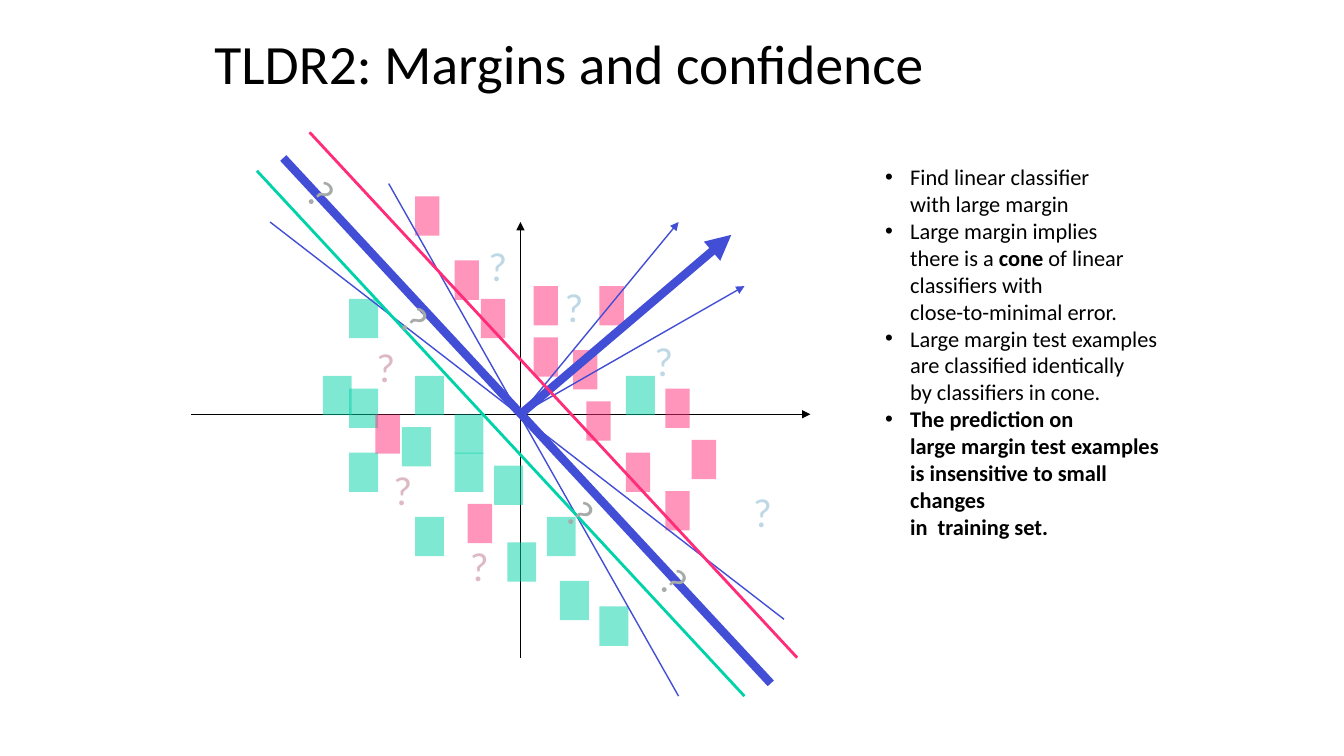
from lxml import etree
from pptx import Presentation
from pptx.dml.color import RGBColor
from pptx.enum.shapes import MSO_CONNECTOR, MSO_SHAPE
from pptx.enum.text import MSO_ANCHOR, MSO_AUTO_SIZE, PP_ALIGN
from pptx.oxml.ns import qn
from pptx.util import Inches, Pt

RECTANGLE, STRAIGHT = MSO_SHAPE.RECTANGLE, MSO_CONNECTOR.STRAIGHT
MIDDLE, LEFT, FIXED = MSO_ANCHOR.MIDDLE, PP_ALIGN.LEFT, MSO_AUTO_SIZE.NONE

BLACK = RGBColor(0x00, 0x00, 0x00)
GREEN = RGBColor(0x00, 0xD2, 0xA9)
PINK = RGBColor(0xFF, 0x2C, 0x79)
BLUE = RGBColor(0x43, 0x4E, 0xD6)
PALE_BLUE = RGBColor(0xBE, 0xD8, 0xE6)
PALE_PINK = RGBColor(0xDD, 0xBA, 0xC3)
GRAY = RGBColor(0xA6, 0xAA, 0xA9)

WIDTH, HEIGHT = Inches(13.33), Inches(7.5)
COLUMN, ROW = WIDTH / 102, HEIGHT / 59
ORIGIN = (39.5, 32.33)  # where the axes cross, in columns and rows
CENTER = (0, 0)
GREEN_SIZE, PINK_SIZE, MARK_SIZE = (2.2, 3.07), (1.85, 3.07), (2.3, 4.7)
TILT = 47

# Points below are columns right of and rows below the origin.
GREEN_EXAMPLES = [(-13, 3), (-13, -2), (-13, -9), (-15, -3), (-5, 3), (-9, 1),
                  (-5, 0), (-2, 4), (-1, 10), (2, 8), (6, 15), (8, -3),
                  (3, 13), (-8, 8), (-8, -3)]
PINK_EXAMPLES = [(-11, 0), (6, -10), (-4, 7), (4, -5), (1, -6), (-3, -9),
                 (11, -2), (1, -10), (-5, -12), (5, -1), (11, 6), (-8, -17),
                 (13, 2), (8, 3)]
AXES = [((-25, 0), (22, 0)), ((0, 19), (0, -15))]
CONE_BOUNDARIES = [((-10, -18), (12, 22)), ((-19, -15), (20, 16))]
CONE_NORMALS = [(17, -10), (12, -15)]
SURE_PINK_TESTS = [(17.2, 5.2), (-2.9, -14), (9.7, -6.6), (2.9, -10.8)]
UNSURE_TESTS = [(-9.1, -9.8), (3.5, 5.4), (-16.2, -19.6), (10.6, 10.7)]
SURE_GREEN_TESTS = [(-11.4, -6.1), (-4.3, 9.4), (-10.1, 3.5)]

# Each point is a list of (text, bold) runs.
POINTS = [
    [("Find linear classifier\nwith large margin", False)],
    [("Large margin implies\nthere is a ", False), ("cone", True),
     (" of linear\nclassifiers with\nclose-to-minimal error.", False)],
    [("Large margin test examples\nare classified identically\n"
      "by classifiers in cone.", False)],
    [("The prediction on\nlarge margin test examples\n"
      "is insensitive to small changes\nin  training set.", True)],
]


class MarginSlide:
    font = "Calibri"

    def __init__(self, slide):
        self.slide = slide
        self.shapes = slide.shapes

    def place(self, point):
        """Turn a point relative to the origin into slide lengths."""
        return (round((ORIGIN[0] + point[0]) * COLUMN),
                round((ORIGIN[1] + point[1]) * ROW))

    def frame(self, point, size):
        return (*self.place(point), round(size[0] * COLUMN), round(size[1] * ROW))

    def position(self, holder, left, top, width, height):
        """Move a placeholder; lengths are shares of the slide's size."""
        holder.left, holder.width = round(left * WIDTH), round(width * WIDTH)
        holder.top, holder.height = round(top * HEIGHT), round(height * HEIGHT)
        holder.text_frame.vertical_anchor = MIDDLE
        holder.text_frame.auto_size = FIXED
        holder.text_frame.word_wrap = True
        return holder.text_frame

    def inset(self, text_frame):
        text_frame.margin_left = text_frame.margin_right = Inches(0.06)
        text_frame.margin_top = text_frame.margin_bottom = Inches(0.06)

    def run(self, paragraph, text, size, color=BLACK, bold=False):
        run = paragraph.add_run()
        run.text = text
        run.font.name, run.font.size = self.font, Pt(size)
        run.font.bold = bold
        run.font.color.rgb = color

    def title(self, text):
        text_frame = self.position(self.shapes.title, 0.152, 0.04, 0.84, 0.096)
        paragraph = text_frame.paragraphs[0]
        paragraph.alignment = LEFT
        paragraph.line_spacing = 0.9
        self.run(paragraph, text, 39.6)

    def bullets(self, points):
        text_frame = self.position(self.slide.placeholders[1],
                                   0.654, 0.205, 0.216, 0.52)
        self.inset(text_frame)
        for index, point in enumerate(points):
            paragraph = (text_frame.add_paragraph() if index
                         else text_frame.paragraphs[0])
            properties = paragraph._p.get_or_add_pPr()
            properties.set("marL", str(Inches(0.25)))
            properties.set("indent", str(-Inches(0.25)))
            etree.SubElement(properties, qn("a:buChar"), char="•")
            paragraph.alignment = LEFT
            paragraph.space_before = Pt(0)
            for text, bold in point:
                for number, part in enumerate(text.split("\n")):
                    if number:
                        paragraph.add_line_break()
                    self.run(paragraph, part, 16, bold=bold)
            for line_break in paragraph._p.findall(qn("a:br")):
                etree.SubElement(line_break, qn("a:rPr"), sz="1600")

    def examples(self, points, size, color):
        for point in points:
            square = self.shapes.add_shape(RECTANGLE, *self.frame(point, size))
            square.shadow.inherit = False
            square.line.fill.background()
            square.fill.solid()
            square.fill.fore_color.rgb = color
            tint = square._element.spPr.find(".//" + qn("a:srgbClr"))
            etree.SubElement(tint, qn("a:alpha"), val="50000")

    def line(self, start, end, color, weight, arrow=False):
        line = self.shapes.add_connector(STRAIGHT, *self.place(start),
                                         *self.place(end))
        line.line.color.rgb = color
        line.line.width = Pt(weight)
        if arrow:
            etree.SubElement(line.line._get_or_add_ln(), qn("a:tailEnd"),
                             type="triangle")
        etree.SubElement(line._element.spPr, qn("a:effectLst"))

    def question_marks(self, points, color, rotation=0):
        for point in points:
            mark = self.shapes.add_textbox(*self.frame(point, MARK_SIZE))
            mark.rotation = rotation
            self.inset(mark.text_frame)
            mark.text_frame.word_wrap = False
            mark.text_frame.vertical_anchor = MIDDLE
            self.run(mark.text_frame.paragraphs[0], "?", 29, color)


def main():
    deck = Presentation()
    deck.slide_width, deck.slide_height = WIDTH, HEIGHT
    page = MarginSlide(deck.slides.add_slide(deck.slide_layouts[1]))

    page.title("TLDR2: Margins and confidence")
    page.bullets(POINTS)

    for start, end in AXES:
        page.line(start, end, BLACK, 1, arrow=True)
    page.examples(GREEN_EXAMPLES, GREEN_SIZE, GREEN)
    page.examples(PINK_EXAMPLES, PINK_SIZE, PINK)

    page.line((-18, -20), (19, 21), BLUE, 6)
    page.line(CENTER, (16, -14), BLUE, 6, arrow=True)
    for start, end in CONE_BOUNDARIES:
        page.line(start, end, BLUE, 1)
    for tip in CONE_NORMALS:
        page.line(CENTER, tip, BLUE, 1, arrow=True)
    page.line((-20, -19), (17, 22), GREEN, 2)
    page.line((-16, -22), (21, 19), PINK, 2)

    page.question_marks(SURE_PINK_TESTS, PALE_BLUE)
    page.question_marks(UNSURE_TESTS, GRAY, TILT)
    page.question_marks(SURE_GREEN_TESTS, PALE_PINK)
    deck.save("out.pptx")


if __name__ == "__main__":
    main()
